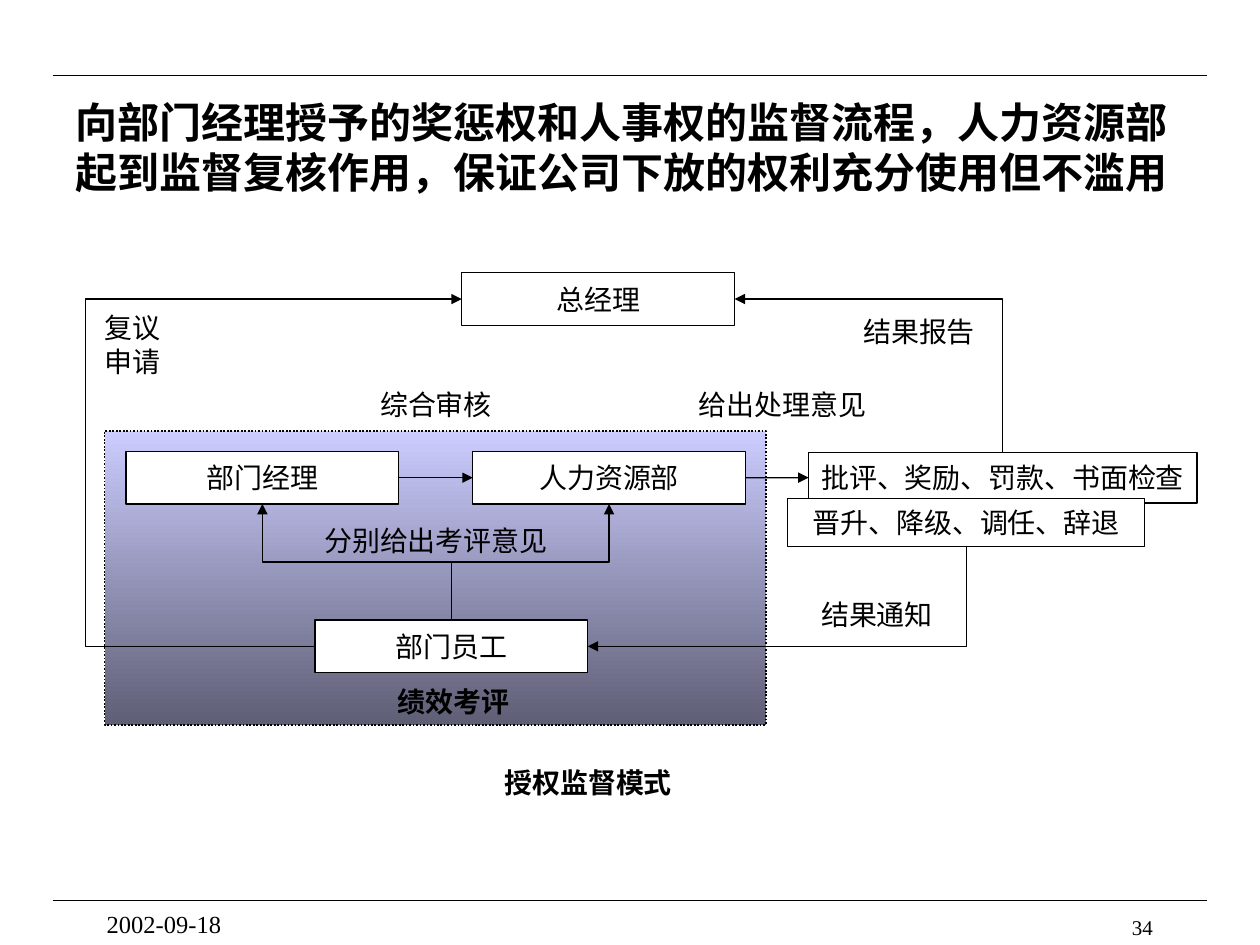
from lxml import etree
from pptx import Presentation
from pptx import util as u
from pptx.dml.color import RGBColor
from pptx.enum import dml, shapes, text
from pptx.oxml.ns import qn

BLACK = RGBColor(0, 0, 0)
WHITE = RGBColor(255, 255, 255)
LAVENDER = RGBColor(0xCC, 0xCC, 0xFF)
SLATE = RGBColor(0x5E, 0x5E, 0x75)
FONT = "Times New Roman"
ROLE_EXTENT = (5.5, 1.06)
LABEL_EXTENT = (2.34, 1.06)


def write(shape, words, size=16, bold=False, align=text.PP_ALIGN.CENTER,
          anchor=text.MSO_ANCHOR.MIDDLE, wrap=False):
    """Put formatted words into a shape."""
    frame = shape.text_frame
    frame.word_wrap = wrap
    frame.auto_size = text.MSO_AUTO_SIZE.NONE
    frame.vertical_anchor = anchor
    paragraph = frame.paragraphs[0]
    paragraph.alignment = align
    run = paragraph.add_run()
    run.text = words
    run.font.name = FONT
    run.font.size = u.Pt(size)
    run.font.bold = bold
    run.font.color.rgb = BLACK


def add_label(slide, words, left, top, extent=LABEL_EXTENT, **style):
    """Add a free-standing label."""
    label = slide.shapes.add_textbox(*map(u.Cm, (left, top, *extent)))
    write(label, words, **style)


def add_rectangle(slide, left, top, extent, line_width=0.75):
    """Add a black-edged rectangle without a shadow."""
    rectangle = slide.shapes.add_shape(
        shapes.MSO_SHAPE.RECTANGLE, *map(u.Cm, (left, top, *extent)))
    rectangle.shadow.inherit = False
    rectangle.line.color.rgb = BLACK
    rectangle.line.width = u.Pt(line_width)
    return rectangle


def add_box(slide, words, left, top, extent=ROLE_EXTENT):
    """Add a white box with centred words."""
    box = add_rectangle(slide, left, top, extent)
    box.fill.solid()
    box.fill.fore_color.rgb = WHITE
    write(box, words)
    return box


def add_appraisal_area(slide):
    """Add the dotted area with a vertical gradient."""
    area = add_rectangle(slide, 2.11, 8.69, (13.33, 5.92), 1)
    area.line.dash_style = dml.MSO_LINE.ROUND_DOT
    area.fill.gradient()
    area.fill.gradient_angle = 270
    for stop, position, colour in zip(area.fill.gradient_stops, (0, 1), (LAVENDER, SLATE)):
        stop.position = position
        stop.color.rgb = colour


def side(box, across, down):
    """Return the point at the given fractions of a box."""
    return box.left + int(box.width * across), box.top + int(box.height * down)


def add_line(slide, start, end, kind=shapes.MSO_CONNECTOR.STRAIGHT, arrow=True):
    """Add a connector, with an arrowhead at its end if wanted."""
    line = slide.shapes.add_connector(kind, *start, *end)
    line.line.color.rgb = BLACK
    line.line.width = u.Pt(0.75)
    if arrow:
        etree.SubElement(line.line._get_or_add_ln(), qn("a:tailEnd"), type="triangle")
    etree.SubElement(line._element.spPr, qn("a:effectLst"))
    return line


def set_bend(line, preset, bend=None):
    """Choose the elbow preset and the place of its bend."""
    geometry = line._element.spPr.find(qn("a:prstGeom"))
    geometry.set("prst", preset)
    if bend is not None:
        guides = geometry.find(qn("a:avLst"))
        if guides is None:
            guides = etree.SubElement(geometry, qn("a:avLst"))
        etree.SubElement(guides, qn("a:gd"), name="adj1", fmla=f"val {round(bend * 100000)}")


def add_upright_elbow(slide, start, end, preset, bend=None):
    """Add an elbow arrow that leaves its start vertically."""
    (x1, y1), (x2, y2) = start, end
    width, height = abs(y2 - y1), abs(x2 - x1)
    left, top = (x1 + x2 - width) // 2, (y1 + y2 - height) // 2
    elbow = add_line(slide, (left, top), (left + width, top + height),
                     shapes.MSO_CONNECTOR.ELBOW)
    frame = elbow._element.spPr.find(qn("a:xfrm"))
    frame.set("rot", str(270 * 60000))
    frame.set("flipH", str(int(y2 > y1)))
    frame.set("flipV", str(int(x2 < x1)))
    set_bend(elbow, preset, bend)


def add_title(slide, words):
    """Place and fill the title placeholder."""
    title = slide.shapes.title
    title.left, title.top, title.width, title.height = map(u.Cm, (1.27, 1.9, 23.28, 2.12))
    write(title, words, size=24, bold=True, align=text.PP_ALIGN.LEFT, wrap=True)


def add_flow(slide):
    """Add the boxes and the arrows between them."""
    manager = add_box(slide, "部门经理", 2.54, 9.1)
    personnel = add_box(slide, "人力资源部", 9.53, 9.1)
    staff = add_box(slide, "部门员工", 6.35, 12.5)
    director = add_box(slide, "总经理", 9.31, 5.5)
    sanctions = add_box(slide, "批评、奖励、罚款、书面检查", 16.3, 9.12, (7.83, 1.02))
    transfers = add_box(slide, "晋升、降级、调任、辞退", 15.88, 10.05, (7.2, 0.97))

    for giver, taker in ((manager, personnel), (personnel, sanctions)):
        add_line(slide, side(giver, 1, 0.5), side(taker, 0, 0.5))
    for reviewer in (manager, personnel):
        add_upright_elbow(slide, side(staff, 0.5, 0), side(reviewer, 0.5, 1),
                          "bentConnector3", 0.5)
    add_upright_elbow(slide, side(transfers, 0.5, 1), side(staff, 1, 0.5), "bentConnector2")
    add_upright_elbow(slide, side(sanctions, 0.5, 0), side(director, 1, 0.5), "bentConnector2")
    appeal = add_line(slide, side(staff, 0, 0.5), side(director, 0, 0.5),
                      shapes.MSO_CONNECTOR.ELBOW)
    set_bend(appeal, "bentConnector3", (u.Cm(1.73) - staff.left) / (director.left - staff.left))


def main():
    """Build the slide on the supervision of delegated authority."""
    deck = Presentation()
    deck.slide_width, deck.slide_height = u.Cm(25.4), u.Cm(19.05)
    slide = deck.slides.add_slide(deck.slide_layouts[5])

    for height in (1.52, 18.16):
        add_line(slide, (u.Cm(1.06), u.Cm(height)), (u.Cm(24.34), u.Cm(height)), arrow=False)
    add_title(slide, "向部门经理授予的奖惩权和人事权的监督流程，人力资源部"
                     "起到监督复核作用，保证公司下放的权利充分使用但不滥用")
    add_appraisal_area(slide)
    add_flow(slide)

    for words, left, top in (
        ("结果通知", 16.51, 11.86),
        ("结果报告", 17.36, 6.14),
        ("综合审核", 7.62, 7.62),
        ("分别给出考评意见", 7.62, 10.37),
        ("给出处理意见", 14.61, 7.62),
    ):
        add_label(slide, words, left, top)
    add_label(slide, "复议申请", 1.83, 6.17, (1.68, 1.55), wrap=True)
    add_label(slide, "绩效考评", 7.77, 13.67, (2.74, 0.94), bold=True)
    add_label(slide, "授权监督模式", 5.51, 15.04, (12.7, 1.47), bold=True)
    add_label(slide, "34", 18.21, 18.31, (5.28, 0.43), size=12, wrap=True,
              align=text.PP_ALIGN.RIGHT, anchor=text.MSO_ANCHOR.TOP)
    add_label(slide, "2002-09-18", 1.9, 18.21, (5.28, 0.64), size=14, wrap=True,
              align=text.PP_ALIGN.LEFT, anchor=text.MSO_ANCHOR.TOP)
    deck.save("out.pptx")


if __name__ == "__main__":
    main()
